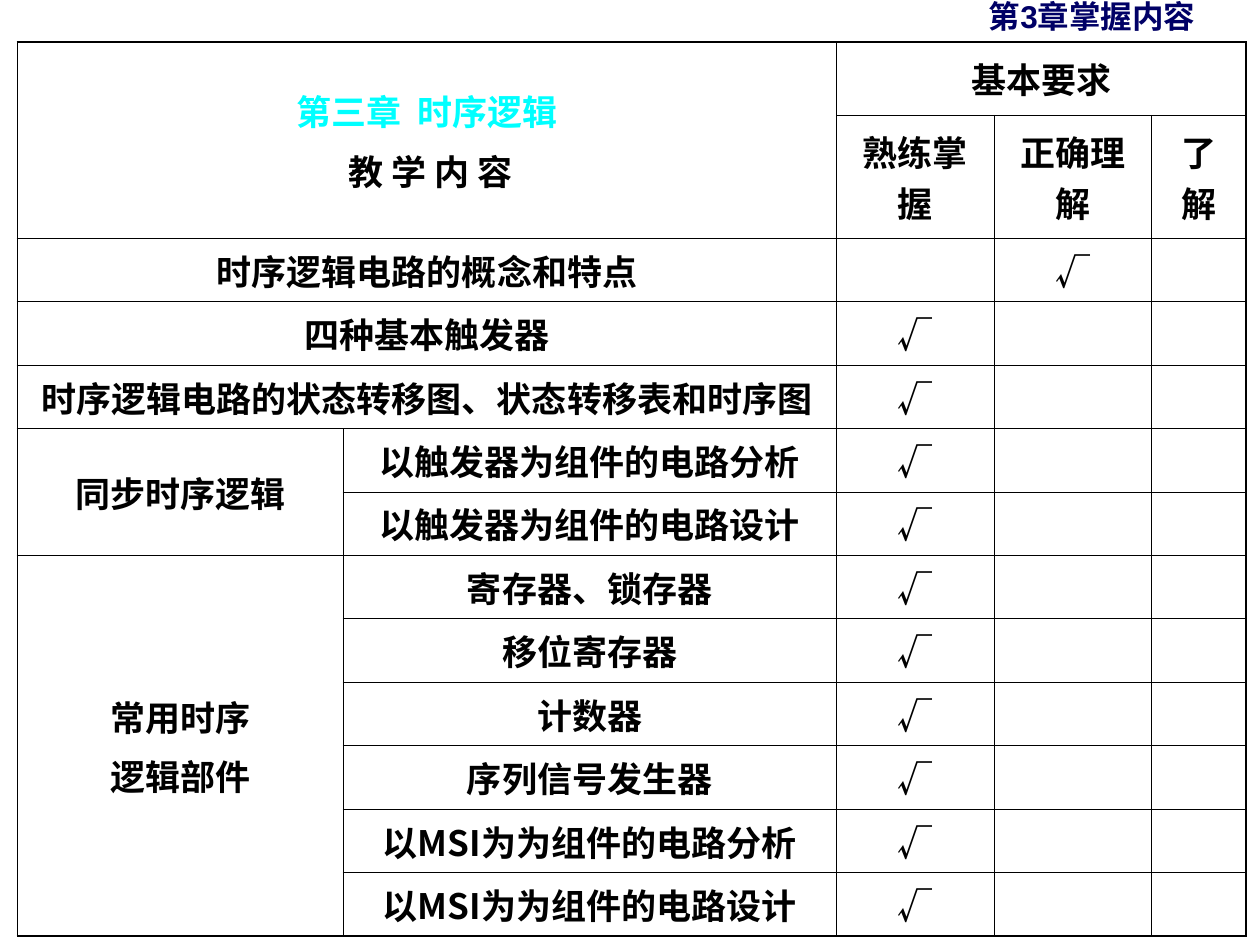
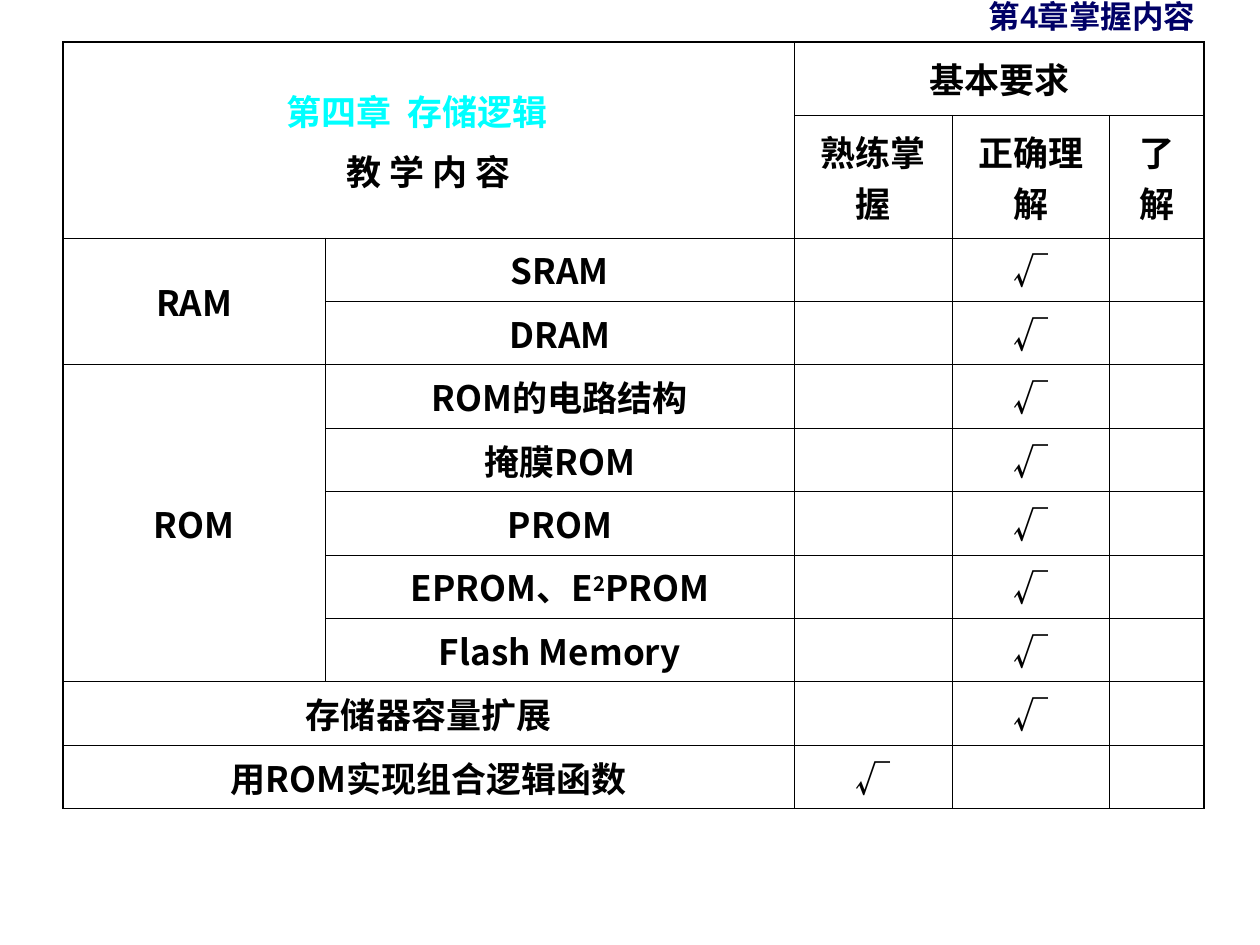
"""Builds two tables of learning requirements for chapters 3 and 4."""
from lxml import etree
from pptx import Presentation
from pptx.dml.color import RGBColor
from pptx.enum import text
from pptx.oxml import ns
from pptx.util import Pt

NAVY, CYAN, BLACK = "000066", "00FFFF", "000000"
HEAD_FONT, BODY_FONT = "Arial", "Noto Sans CJK SC"
THIN, THICK = 0.45, 1.08
LEVELS = ["熟练掌握", "正确理解", "了解"]
LEVEL_WIDTHS = [90, 90, 54]
MASTER, UNDERSTAND = 2, 3
HEADER_HEIGHTS = [41.8, 70.2]
TOPIC_HEIGHT = 36.24

CHAPTER_3 = [
    (None, [("时序逻辑电路的概念和特点", UNDERSTAND),
            ("四种基本触发器", MASTER),
            ("时序逻辑电路的状态转移图、状态转移表和时序图", MASTER)]),
    ("同步时序逻辑", [("以触发器为组件的电路分析", MASTER),
                ("以触发器为组件的电路设计", MASTER)]),
    ("常用时序\n逻辑部件", [("寄存器、锁存器", MASTER),
                    ("移位寄存器", MASTER),
                    ("计数器", MASTER),
                    ("序列信号发生器", MASTER),
                    ("以MSI为为组件的电路分析", MASTER),
                    ("以MSI为为组件的电路设计", MASTER)]),
]
CHAPTER_4 = [
    ("RAM", [("SRAM", UNDERSTAND), ("DRAM", UNDERSTAND)]),
    ("ROM", [("ROM的电路结构", UNDERSTAND),
             ("掩膜ROM", UNDERSTAND),
             ("PROM", UNDERSTAND),
             ("EPROM、E^2^PROM", UNDERSTAND),
             ("Flash Memory", UNDERSTAND)]),
    (None, [("存储器容量扩展", UNDERSTAND),
            ("用ROM实现组合逻辑函数", MASTER)]),
]


def rgb(value):
    """Turn a hex string into a colour."""
    return RGBColor.from_string(value)


def write(tf, content, size=20, font=BODY_FONT, colors=(BLACK,), indent=0):
    """Write centred bold lines; ^ marks superscript, indent moves later lines."""
    for i, line in enumerate(content.split("\n")):
        p = tf.paragraphs[0] if i == 0 else tf.add_paragraph()
        p.alignment = text.PP_ALIGN.CENTER
        if i:
            p.space_before = Pt(5)
            p._p.get_or_add_pPr().set("marL", str(Pt(indent)))
        for j, part in enumerate(line.split("^")):
            r = p.add_run()
            r.text = part
            r.font.size, r.font.bold, r.font.name = Pt(size), True, font
            r.font.color.rgb = rgb(colors[min(i, len(colors) - 1)])
            rPr = r._r.get_or_add_rPr()
            etree.SubElement(rPr, ns.qn("a:ea"), typeface=font)
            if j % 2:
                rPr.set("baseline", "30000")


def set_border(cell, side, width):
    """Draw one edge of a cell."""
    ln = etree.SubElement(cell._tc.get_or_add_tcPr(), ns.qn(f"a:ln{side}"), w=str(Pt(width)))
    fill = etree.SubElement(ln, ns.qn("a:solidFill"))
    etree.SubElement(fill, ns.qn("a:srgbClr"), val=BLACK)


def style_cells(table):
    """Clear fills, centre vertically, and rule thin lines inside a thick frame."""
    rows, cols = len(table.rows), len(table.columns)
    for row in range(rows):
        for col in range(cols):
            cell = table.cell(row, col)
            edges = {"L": col == 0, "R": col + cell.span_width == cols,
                     "T": row == 0, "B": row + cell.span_height == rows}
            for side, outer in edges.items():
                set_border(cell, side, THICK if outer else THIN)
            cell.fill.background()
            cell.vertical_anchor = text.MSO_ANCHOR.MIDDLE


def add_heading(s, content, x, y, w, h):
    """Place the small heading at the top right."""
    tf = s.shapes.add_textbox(Pt(x), Pt(y), Pt(w), Pt(h)).text_frame
    tf.word_wrap = True
    tf.vertical_anchor = text.MSO_ANCHOR.MIDDLE
    write(tf, content, size=18, font=HEAD_FONT, colors=(NAVY,))


def fill_header(table, chapter, inset, indent):
    """Fill the two header rows."""
    corner = table.cell(0, 0)
    corner.merge(table.cell(1, 1))
    corner.margin_right = Pt(7.2 + inset)
    write(corner.text_frame, f"{chapter}\n教 学 内 容", colors=(CYAN, BLACK), indent=indent)
    table.cell(0, 2).merge(table.cell(0, 4))
    write(table.cell(0, 2).text_frame, "基本要求")
    for col, level in enumerate(LEVELS, 2):
        write(table.cell(1, col).text_frame, level)


def fill_topics(table, sections):
    """Fill the topic rows, merging group cells down and single topics across."""
    row = len(HEADER_HEIGHTS)
    for group, topics in sections:
        if group:
            table.cell(row, 0).merge(table.cell(row + len(topics) - 1, 0))
            write(table.cell(row, 0).text_frame, group)
        for topic, level in topics:
            if not group:
                table.cell(row, 0).merge(table.cell(row, 1))
            write(table.cell(row, 1 if group else 0).text_frame, topic)
            write(table.cell(row, level).text_frame, "√")
            row += 1


def add_requirements(s, chapter, sections, x, y, topic_widths, inset=0, indent=0):
    """Place a requirements table with equal topic rows."""
    widths = topic_widths + LEVEL_WIDTHS
    count = sum(len(topics) for _, topics in sections)
    heights = HEADER_HEIGHTS + [TOPIC_HEIGHT] * count
    table = s.shapes.add_table(len(heights), len(widths), Pt(x), Pt(y),
                               Pt(sum(widths)), Pt(sum(heights))).table
    table.first_row = table.horz_banding = False
    for column, width in zip(table.columns, widths):
        column.width = Pt(width)
    for row, height in zip(table.rows, heights):
        row.height = Pt(height)
    fill_header(table, chapter, inset, indent)
    fill_topics(table, sections)
    style_cells(table)


def add_chapter(prs, heading, chapter, sections, **layout):
    """Add one chapter slide."""
    s = prs.slides.add_slide(prs.slide_layouts[6])
    add_requirements(s, chapter, sections, y=24, **layout)
    add_heading(s, heading, 528, 0, 192, 18)


def main():
    """Build and save the slides."""
    prs = Presentation()
    prs.slide_width, prs.slide_height = Pt(720), Pt(540)
    add_chapter(prs, "第3章掌握内容", "第三章  时序逻辑", CHAPTER_3,
                x=10, topic_widths=[186, 282], indent=4)
    add_chapter(prs, "第4章掌握内容", "第四章  存储逻辑", CHAPTER_4,
                x=36, topic_widths=[150, 268], inset=13, indent=13)
    prs.save("out.pptx")


if __name__ == "__main__":
    main()
